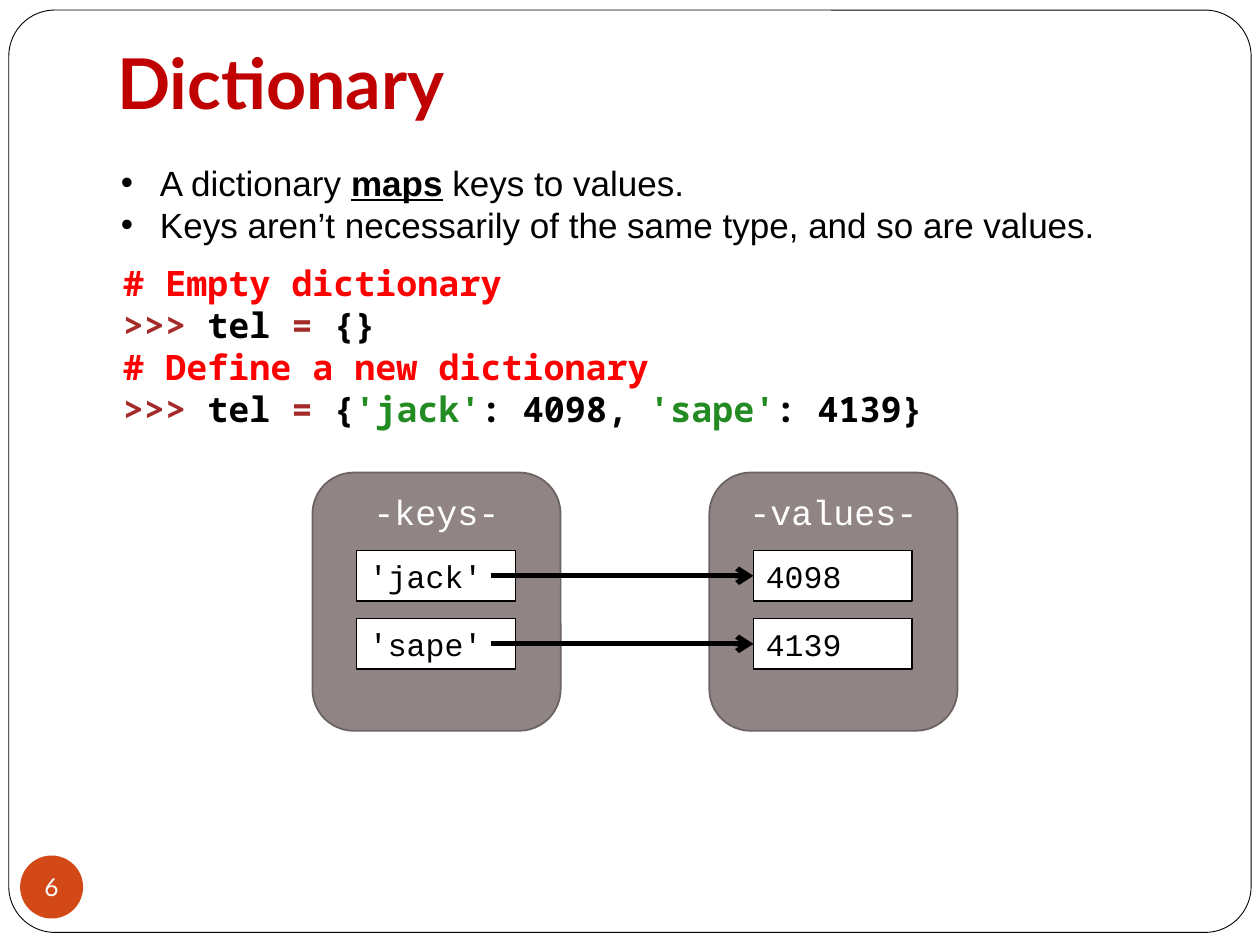
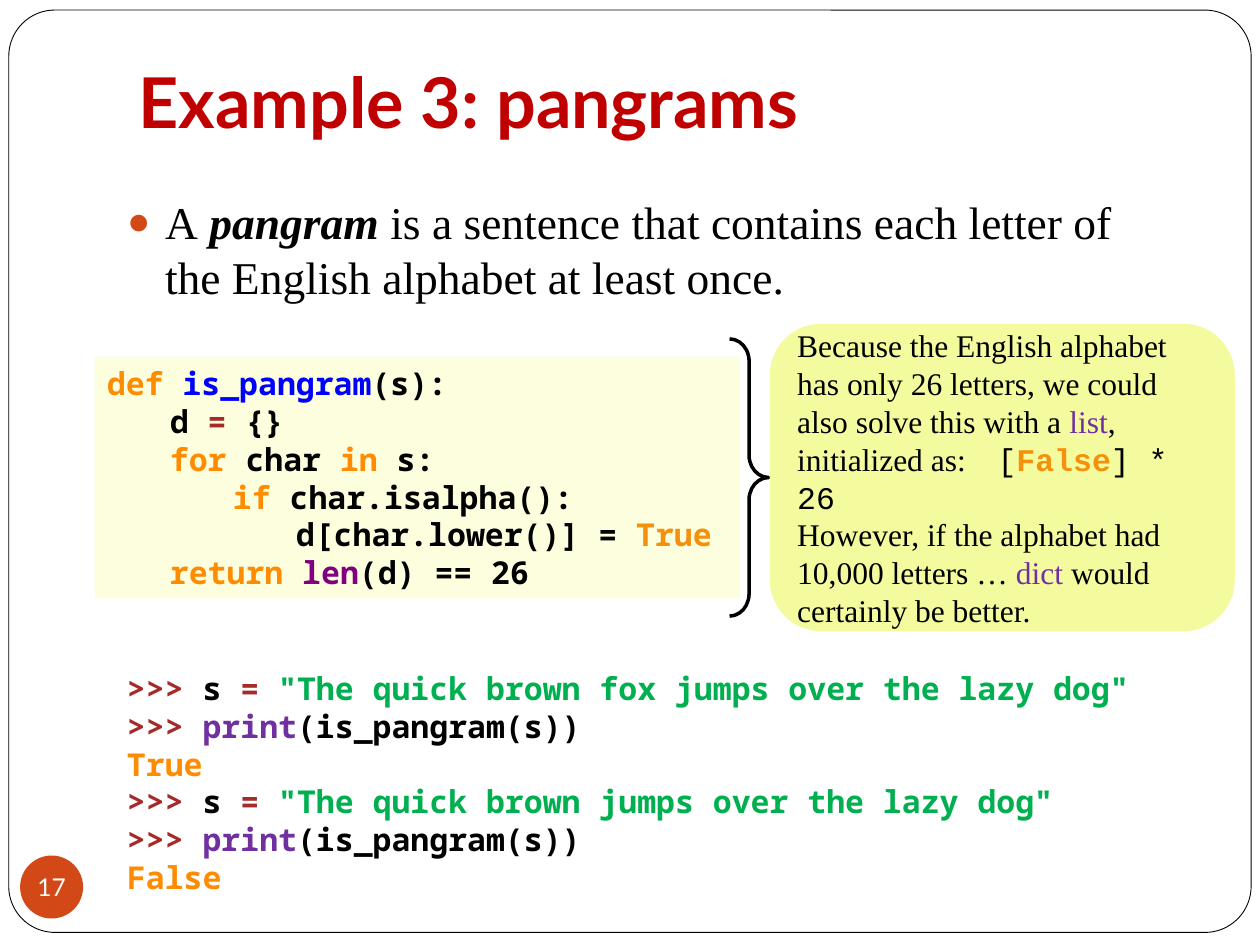
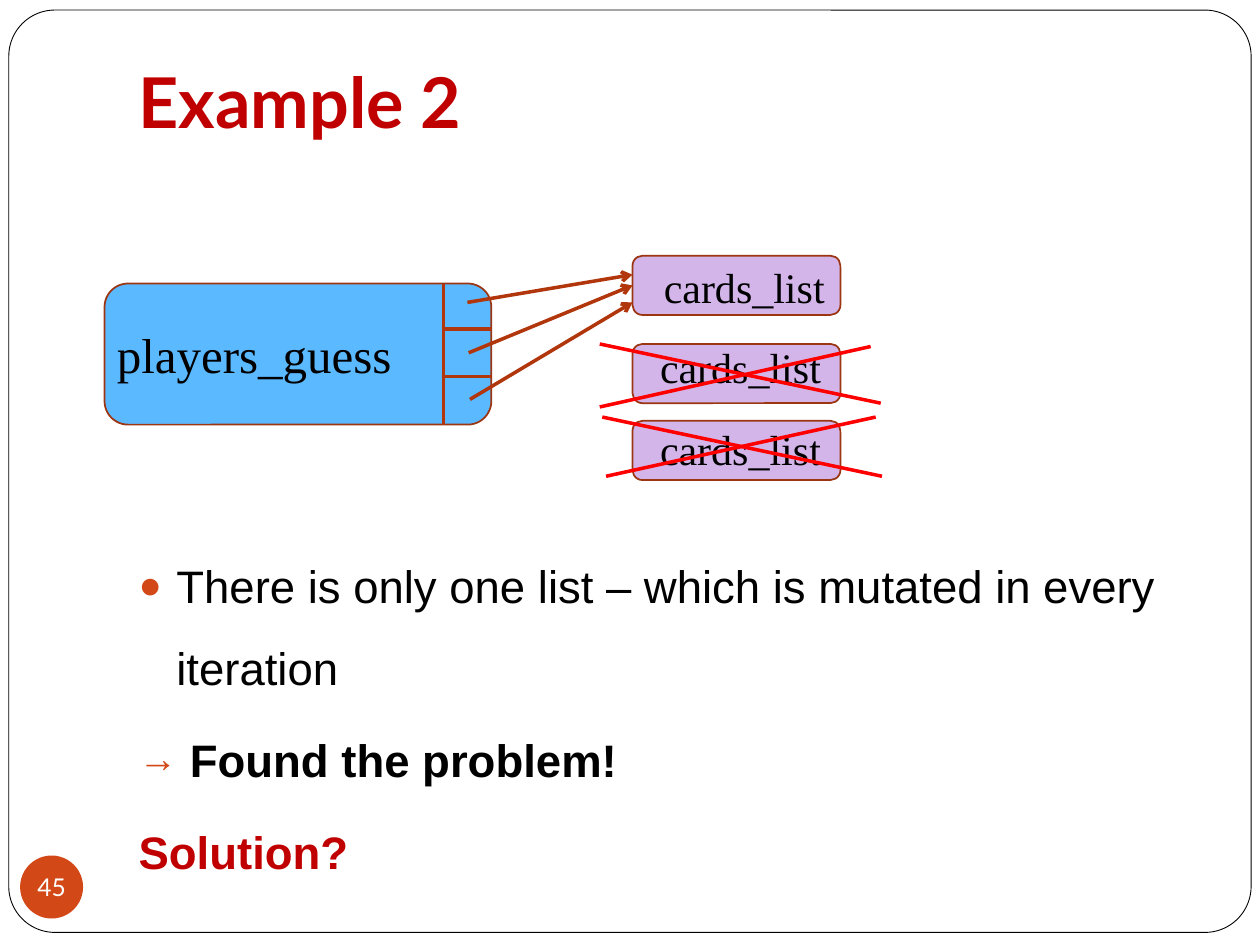
from lxml.etree import SubElement
from pptx import Presentation
from pptx.dml.color import RGBColor
from pptx.enum.shapes import MSO_CONNECTOR, MSO_SHAPE as SHAPE
from pptx.enum.text import MSO_ANCHOR as ANCHOR, MSO_AUTO_SIZE, PP_ALIGN as ALIGN
from pptx.oxml.ns import qn
from pptx.util import Inches, Pt

rgb = RGBColor.from_string

BLACK, WHITE, RED = "000000", "FFFFFF", "FF0000"
TITLE_RED, ACCENT = "C00000", "D34817"
PROMPT, KEYWORD, TRUE_VALUE = "A52A2A", "FF8C00", "F4910C"
KEY_GREEN, STRING_GREEN, PURPLE = "228B22", "00B050", "7030A0"
BROWN, ARROW_BROWN = "9C3511", "B1360B"
HEADING, SANS, SERIF = "Lato", "Arial", "Times New Roman"
CODE, COURIER = "Noto Sans Mono", "Courier New"


def add_box(slide, kind, bounds, fill=None, line=None, width=1, anchor=ANCHOR.TOP):
    """Add a preset shape, or a text box when kind is None; bounds are in inches."""
    bounds = [Inches(length) for length in bounds]
    if kind is None:
        shape = slide.shapes.add_textbox(*bounds)
    else:
        shape = slide.shapes.add_shape(kind, *bounds)
        shape.shadow.inherit = False
    if fill:
        shape.fill.solid()
        shape.fill.fore_color.rgb = rgb(fill)
    else:
        shape.fill.background()
    if line:
        shape.line.color.rgb = rgb(line)
        shape.line.width = Pt(width)
    else:
        shape.line.fill.background()
    shape.text_frame.word_wrap = True
    shape.text_frame.vertical_anchor = anchor
    return shape


def write(frame, runs, size, font, colour=BLACK, bold=False, align=ALIGN.LEFT, margin=0,
          bullet=None, bullet_colour=ACCENT, bullet_size=85, before=0, spacing=1):
    """Write one paragraph; a run is plain text or (text, colour, font attributes)."""
    paragraph = frame.paragraphs[0]
    if paragraph.runs:
        paragraph = frame.add_paragraph()
    properties = paragraph._p.get_or_add_pPr()
    properties.set("marL", str(Inches(margin)))
    properties.set("indent", str(-Inches(margin) if bullet else 0))
    if bullet:
        bullet_fill = SubElement(properties, qn("a:buClr"))
        SubElement(bullet_fill, qn("a:srgbClr"), val=bullet_colour)
        SubElement(properties, qn("a:buSzPct"), val=str(bullet_size * 1000))
        SubElement(properties, qn("a:buFont"), typeface=SANS)
        SubElement(properties, qn("a:buChar"), char=bullet)
    else:
        SubElement(properties, qn("a:buNone"))
    paragraph.alignment = align
    paragraph.space_before = Pt(before)
    paragraph.line_spacing = spacing
    paragraph.font.size = Pt(size)
    paragraph.font.name = font
    paragraph.font.bold = bold
    paragraph.font.color.rgb = rgb(colour)
    for item in [runs] if isinstance(runs, str) else runs:
        text, run_colour, attributes = (item, colour, {}) if isinstance(item, str) else item
        run = paragraph.add_run()
        run.text = text
        if run_colour != colour:
            run.font.color.rgb = rgb(run_colour)
        for name, value in attributes.items():
            setattr(run.font, name, value)


presentation = Presentation()
presentation.slide_width, presentation.slide_height = Inches(10), Inches(7.5)
layout = presentation.slide_layouts[1]

# Shared parts: title, body position and page number
pages = [
    ("Dictionary", "6", (0.83, 0.29), (0.86, 1.23, 8.43, 0.77)),
    ("Example 3: pangrams", "17", (1, 0.44), (0.91, 1.49, 8.5, 0.94)),
    ("Example 2", "45", (1, 0.44), (1, 1.58, 8.5, 5.44)),
]
slides, bodies = [], []
for heading, number, title_corner, body_bounds in pages:
    slide = presentation.slides.add_slide(layout)
    title, body = slide.placeholders
    for placeholder, bounds in [(title, (*title_corner, 8.5, 0.79)), (body, body_bounds)]:
        (placeholder.left, placeholder.top,
         placeholder.width, placeholder.height) = [Inches(length) for length in bounds]
        placeholder.text_frame.auto_size = MSO_AUTO_SIZE.NONE
        placeholder.text_frame.vertical_anchor = ANCHOR.TOP
    title.text_frame.vertical_anchor = ANCHOR.BOTTOM
    title.text_frame.margin_bottom = Inches(0.1)
    write(title.text_frame, heading, 40, HEADING, TITLE_RED, bold=True)
    badge = add_box(slide, SHAPE.OVAL, (0.16, 6.79, 0.5, 0.5), ACCENT, anchor=ANCHOR.MIDDLE)
    badge_text = badge.text_frame
    badge_text.margin_left = badge_text.margin_right = 0
    badge_text.margin_top = badge_text.margin_bottom = 0
    badge_text.word_wrap = False
    write(badge_text, number, 14, HEADING, WHITE, align=ALIGN.CENTER)
    slides.append(slide)
    bodies.append(body.text_frame)
dictionary_slide, pangram_slide, cards_slide = slides
dictionary_body, pangram_body, cards_body = bodies

# The rounded page border belongs to the layout, behind everything
border = add_box(dictionary_slide, SHAPE.ROUNDED_RECTANGLE, (0.07, 0.08, 9.86, 7.32),
                 WHITE, BLACK, 0.5)
border.adjustments[0] = 0.05
layout.shapes.element.insert(2, border.element)

# Lines of all slides: slide, start, end, colour, width, arrowhead, shape joined at its left
lines = []

# Dictionary
for runs in [
    ["A dictionary ", ("maps", BLACK, {"bold": True, "underline": True}), " keys to values."],
    "Keys aren’t necessarily of the same type, and so are values.",
]:
    write(dictionary_body, runs, 20, SANS, margin=0.31,
          bullet="•", bullet_colour=BLACK, bullet_size=100)

prompt, equals = (">>> ", PROMPT, {}), ("=", PROMPT, {})
definitions = add_box(dictionary_slide, None, (0.88, 2.02, 8.27, 1.45), anchor=ANCHOR.MIDDLE)
for runs in [
    [("# Empty dictionary", RED, {})],
    [prompt, "tel ", equals, " {}"],
    [("# Define a new dictionary", RED, {})],
    [prompt, "tel ", equals, " {", ("'jack'", KEY_GREEN, {}), ": 4098, ",
     ("'sape'", KEY_GREEN, {}), ": 4139}"],
]:
    write(definitions.text_frame, runs, 20, CODE, bold=True)

for left, label, entries in [(2.48, "-keys-", ["'jack'", "'sape'"]),
                             (5.63, "-values-", ["4098", "4139"])]:
    panel = add_box(dictionary_slide, SHAPE.ROUNDED_RECTANGLE, (left, 3.75, 1.97, 2.05),
                    "918485", "6B6262")
    write(panel.text_frame, label, 20, COURIER, WHITE, align=ALIGN.CENTER)
    for row, entry in enumerate(entries):
        top = 4.37 + 0.54 * row
        cell = add_box(dictionary_slide, SHAPE.RECTANGLE, (left + 0.35, top, 1.26, 0.4),
                       WHITE, BLACK, 0.75)
        write(cell.text_frame, entry, 18, COURIER)
        if label == "-values-":
            middle = top + 0.2
            lines.append((dictionary_slide, (3.9, middle), (left + 0.35, middle),
                          BLACK, 3, True, cell))

# Pangrams
write(pangram_body,
      ["A\u00a0", ("pangram", BLACK, {"bold": True, "italic": True}),
       "\u00a0is a sentence that contains each letter of the English alphabet at least once."],
      26, SERIF, margin=0.3, bullet="●", before=5.8)

function_box = add_box(pangram_slide, SHAPE.RECTANGLE, (0.75, 2.83, 5.12, 1.92), "FCFEDE",
                       anchor=ANCHOR.MIDDLE)
for depth, runs in [
    (0, [("def ", KEYWORD, {}), ("is_pangram", "0000FF", {}), "(s):"]),
    (1, ["d ", equals, " {}"]),
    (1, [("for", KEYWORD, {}), " char ", ("in", KEYWORD, {}), " s:"]),
    (2, [("if ", KEYWORD, {}), "char.isalpha():"]),
    (3, ["d[char.lower()] = ", ("True", TRUE_VALUE, {})]),
    (1, [("return ", KEYWORD, {}), ("len", "800080", {}), "(d) == 26"]),
]:
    write(function_box.text_frame, runs, 18, CODE, bold=True, margin=0.5 * depth)

session = add_box(pangram_slide, None, (0.91, 5.25, 8.27, 1.92), anchor=ANCHOR.MIDDLE)
for sentence, result in [("The quick brown fox jumps over the lazy dog", "True"),
                         ("The quick brown jumps over the lazy dog", "False")]:
    for runs in [
        [prompt, "s ", equals, (f' "{sentence}"', STRING_GREEN, {})],
        [prompt, ("print", PURPLE, {}), "(is_pangram(s))"],
        [(result, KEYWORD, {})],
    ]:
        write(session.text_frame, runs, 18, CODE, bold=True)

brace = add_box(pangram_slide, SHAPE.RIGHT_BRACE, (5.79, 2.69, 0.31, 2.2), line=BLACK, width=2)
brace.adjustments[0] = 0.57
brace.adjustments[1] = 0.5
callout = add_box(pangram_slide, SHAPE.ROUNDED_RECTANGLE, (6.11, 2.57, 3.69, 2.44), "F4FB9F",
                  anchor=ANCHOR.MIDDLE)
for runs in [
    ["Because the English alphabet has only 26 letters, we could also solve this with a ",
     ("list", PURPLE, {}), ", initialized as:    ", ("[", BLACK, {"name": COURIER}),
     ("False", TRUE_VALUE, {"name": COURIER, "bold": True}),
     ("] * 26", BLACK, {"name": COURIER})],
    ["However, if the alphabet had 10,000 letters … ", ("dict ", PURPLE, {}),
     "would certainly be better."],
]:
    write(callout.text_frame, runs, 18, SERIF)

# Card lists
cards_body.vertical_anchor = ANCHOR.BOTTOM
conclusion = {"size": 26, "font": SANS, "before": 5.8, "spacing": 1.5}
write(cards_body, "There is only one list – which is mutated in every iteration",
      margin=0.3, bullet="●", **conclusion)
write(cards_body, " Found the problem!", bold=True, margin=0.3, bullet="→", **conclusion)
write(cards_body, "Solution?", colour=TITLE_RED, bold=True, **conclusion)

guess = add_box(cards_slide, SHAPE.ROUNDED_RECTANGLE, (0.83, 2.25, 3.07, 1.12),
                "5BB9FF", BROWN)
guess_label = add_box(cards_slide, None, (0.83, 2.53, 2.76, 0.57))
write(guess_label.text_frame, "players_guess", 28, SERIF)

cards = []
for card_top, label_left, label_top in [(2.03, 5.17, 2.03), (2.73, 5.14, 2.66),
                                        (3.34, 5.14, 3.31)]:
    cards.append(add_box(cards_slide, SHAPE.ROUNDED_RECTANGLE, (5.02, card_top, 1.65, 0.47),
                         "D3B5E9", BROWN))
    card_label = add_box(cards_slide, None, (label_left, label_top, 1.67, 0.5))
    write(card_label.text_frame, "cards_list", 24, SERIF)

dividers = [((3.52, 2.25), (3.52, 3.37)), ((3.52, 2.61), (3.9, 2.61)),
            ((3.52, 2.99), (3.9, 2.99))]
references = [((3.71, 2.4), (5.02, 2.18), None), ((3.72, 2.8), (5.02, 2.26), cards[0]),
              ((3.73, 3.17), (5.02, 2.4), None)]
strikes = [((4.76, 2.73), (6.99, 3.2)), ((4.76, 3.23), (6.91, 2.75)),
           ((4.78, 3.31), (7, 3.78)), ((4.81, 3.78), (6.95, 3.31))]
lines += [(cards_slide, *ends, ARROW_BROWN, 2, False, None) for ends in dividers]
lines += [(cards_slide, start, end, ARROW_BROWN, 2, True, card)
          for start, end, card in references]
lines += [(cards_slide, *ends, RED, 2, False, None) for ends in strikes]

for slide, start, end, colour, width, has_arrow, target in lines:
    points = [Inches(length) for length in (*start, *end)]
    connector = slide.shapes.add_connector(MSO_CONNECTOR.STRAIGHT, *points)
    connector.line.color.rgb = rgb(colour)
    connector.line.width = Pt(width)
    if has_arrow:
        SubElement(connector.line._get_or_add_ln(), qn("a:tailEnd"), type="arrow")
    SubElement(connector.element.spPr, qn("a:effectLst"))
    if target is not None:
        connector.end_connect(target, 1)

presentation.save("out.pptx")
